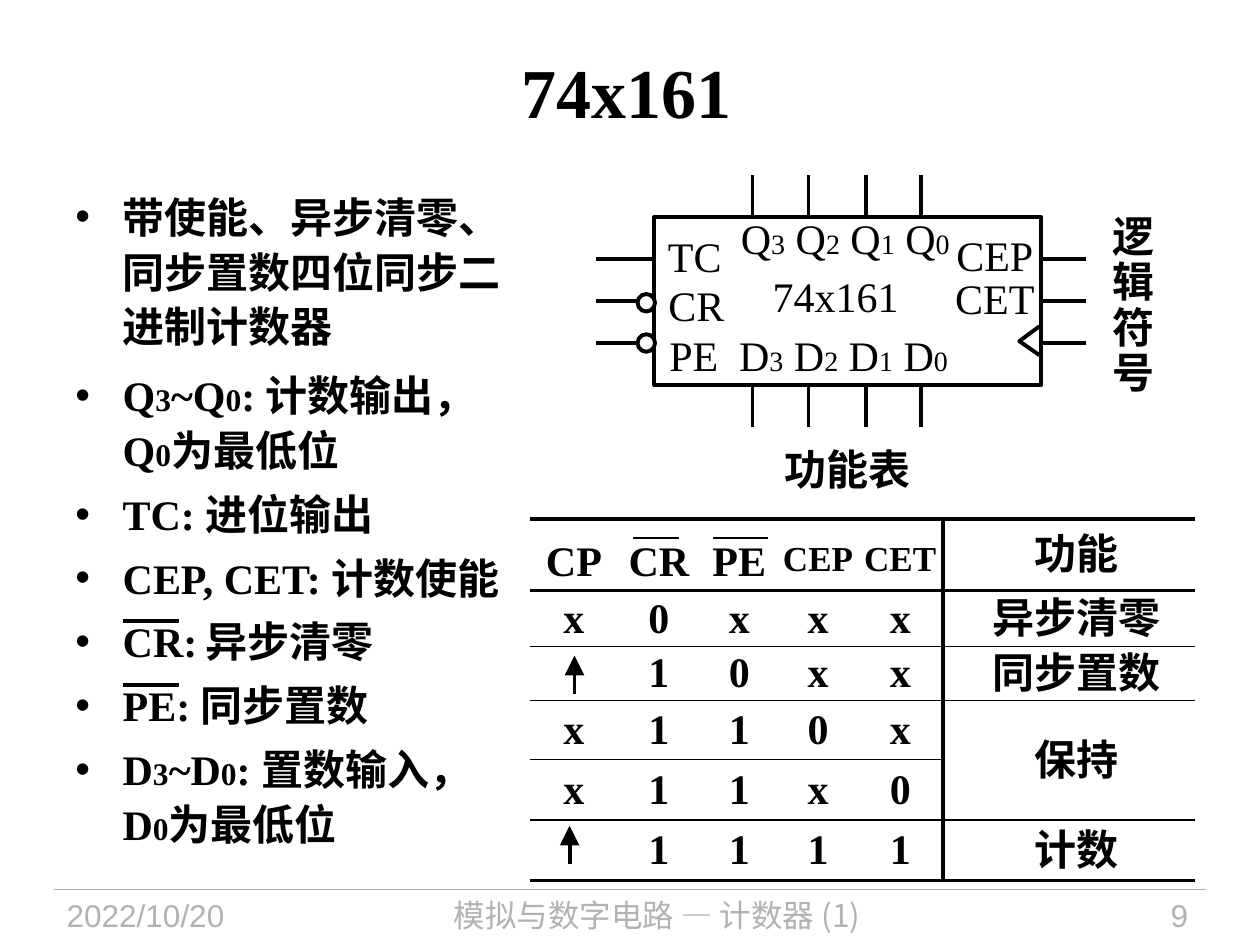
from dataclasses import dataclass

from lxml import etree
from pptx import Presentation
from pptx.dml.color import RGBColor
from pptx.enum.shapes import MSO_CONNECTOR, MSO_SHAPE
from pptx.enum.text import MSO_ANCHOR, PP_ALIGN
from pptx.oxml.ns import qn
from pptx.util import Pt

LEFT, CENTER, RIGHT = PP_ALIGN.LEFT, PP_ALIGN.CENTER, PP_ALIGN.RIGHT
MIDDLE = MSO_ANCHOR.MIDDLE
STRAIGHT = MSO_CONNECTOR.STRAIGHT
NO_TABLE_STYLE = "{2D5ABB26-0587-4C30-8999-92F81FD0307C}"


@dataclass(frozen=True)
class Theme:
    black: RGBColor = RGBColor(0, 0, 0)
    white: RGBColor = RGBColor(255, 255, 255)
    gray: RGBColor = RGBColor(0xB2, 0xB2, 0xB2)
    serif: str = "Times New Roman"
    sans: str = "Arial"
    cjk: str = "Noto Sans CJK SC"
    title: int = 40
    body: int = 24
    header: int = 20
    small: int = 18
    pin: int = 16
    thick: float = 2.25
    medium: float = 1.5
    thin: float = 0.75


T = Theme()

prs = Presentation()
prs.slide_width, prs.slide_height = Pt(720), Pt(540)
slide = prs.slides.add_slide(prs.slide_layouts[6])
shapes = slide.shapes


def write(tf, lines, size=T.body, sub=T.small, bold=True, font=T.serif,
          color=T.black, align=CENTER, spacing=None):
    """Fill a text frame; every second part between bars takes the sub size."""
    for i, text in enumerate(lines):
        p = tf.add_paragraph() if i else tf.paragraphs[0]
        p.alignment = align
        if spacing:
            p.line_spacing = Pt(spacing)
        for j, part in enumerate(text.split("|")):
            r = p.add_run()
            r.text = part
            r.font.size = Pt(sub if j % 2 else size)
            r.font.name, r.font.bold = font, bold
            r.font.color.rgb = color
            etree.SubElement(r.font._element, qn("a:ea"), typeface=T.cjk)


def line(x1, y1, x2, y2, width=T.thick, color=T.black, arrow=False):
    c = shapes.add_connector(STRAIGHT, Pt(x1), Pt(y1), Pt(x2), Pt(y2))
    c.line.width, c.line.color.rgb = Pt(width), color
    if arrow:
        etree.SubElement(c.line._get_or_add_ln(), qn("a:tailEnd"),
                         type="triangle", w="lg", len="lg")
    etree.SubElement(c._element.spPr, qn("a:effectLst"))
    return c


# Footer
line(31, 508.3, 689, 508.3, T.thin, T.gray)
for x, w, text, font, align in [
    (31, 135, "2022/10/20", T.sans, LEFT),
    (173, 405, "模拟与数字电路 — 计数器 (1)", T.cjk, CENTER),
    (590, 96, "9", T.sans, RIGHT),
]:
    tf = shapes.add_textbox(Pt(x), Pt(508.3), Pt(w), Pt(31.7)).text_frame
    tf.word_wrap = True
    write(tf, [text], T.small, bold=False, font=font, color=T.gray, align=align)

# Title
tf = shapes.add_textbox(Pt(36), Pt(6.5), Pt(644.4), Pt(90)).text_frame
tf.word_wrap, tf.vertical_anchor = True, MIDDLE
write(tf, ["74x161"], T.title)

# Bullet list
tf = shapes.add_textbox(Pt(36), Pt(103), Pt(264.5), Pt(399.6)).text_frame
tf.word_wrap = True
write(tf, [
    "带使能、异步清零、同步置数四位同步二进制计数器",
    "Q|3|~Q|0|: 计数输出，Q|0|为最低位",
    "TC: 进位输出",
    "CEP, CET: 计数使能",
    "CR:| |异步清零",
    "PE: 同步置数",
    "D|3|~D|0|: 置数输入，D|0|为最低位",
], align=LEFT, spacing=31.4)
for i, p in enumerate(tf.paragraphs):
    p.space_after = Pt(5 if i else 8)
    pPr = p._p.get_or_add_pPr()
    pPr.set("marL", str(Pt(27)))
    pPr.set("indent", str(-Pt(27)))
    etree.SubElement(pPr, qn("a:buFont"), typeface=T.sans)
    etree.SubElement(pPr, qn("a:buChar"), char="•")
for y in (355, 391.7):
    line(70.5, y, 102.3, y)

# Captions
tf = shapes.add_textbox(Pt(623.5), Pt(119.5), Pt(48.2), Pt(111)).text_frame
tf.word_wrap = True
write(tf, "逻辑符号", font=T.sans, spacing=26)
tf = shapes.add_textbox(Pt(430.5), Pt(250), Pt(108), Pt(36)).text_frame
tf.word_wrap, tf.vertical_anchor = True, MIDDLE
write(tf, ["功能表"], font=T.sans)

# Logic symbol
chip = shapes.add_shape(MSO_SHAPE.RECTANGLE, Pt(374), Pt(124), Pt(221), Pt(96))
chip.shadow.inherit = False
chip.fill.background()
chip.line.color.rgb, chip.line.width = T.black, Pt(T.thick)
for x in (430, 462, 495, 526.5):
    line(x, 124, x, 100)
    line(x, 244, x, 220)
for y in (148, 172, 196):
    line(340.5, y, 374, y)
    pin = line(596, y, 620.5, y)
    if y == 172:
        pin.begin_connect(chip, 3)
for y in (173, 196):
    sp = shapes.add_shape(MSO_SHAPE.OVAL, Pt(364.3), Pt(y - 5), Pt(10), Pt(10))
    sp.shadow.inherit = False
    sp.fill.solid()
    sp.fill.fore_color.rgb = T.white
    sp.line.color.rgb, sp.line.width = T.black, Pt(T.thick)
builder = shapes.build_freeform(Pt(594), Pt(186.5))
builder.add_line_segments([(Pt(582.5), Pt(195)), (Pt(594), Pt(203))], close=False)
clock = builder.convert_to_shape()
clock.shadow.inherit = False
clock.fill.background()
clock.line.color.rgb, clock.line.width = T.black, Pt(T.thick)
for cx, cy, w, text in [
    (397, 146, 45, "TC"), (398, 174, 47, "CR"), (396.5, 202.5, 43, "PE"),
    (568.5, 145.5, 58, "CEP"), (568.5, 170, 60, "CET"), (477.5, 169, 86, "74x161"),
    (483, 136, 134, "Q|3| Q|2| Q|1| Q|0"), (482, 202.5, 134, "D|3| D|2| D|1| D|0"),
]:
    tf = shapes.add_textbox(Pt(cx - w / 2), Pt(cy - 18), Pt(w), Pt(36)).text_frame
    tf.word_wrap, tf.vertical_anchor = False, MIDDLE
    tf.margin_left = tf.margin_right = 0
    write(tf, [text], sub=T.pin, bold=False)

# Function table; blank first cells hold a rising-edge arrow
rows = [
    ["CP", "CR", "PE", "CEP", "CET", "功能"],
    ["x", "0", "x", "x", "x", "异步清零"],
    ["", "1", "0", "x", "x", "同步置数"],
    ["x", "1", "1", "0", "x", "保持"],
    ["x", "1", "1", "x", "0", ""],
    ["", "1", "1", "1", "1", "计数"],
]
col_widths = [50, 47, 45, 45, 49, 144]
row_heights = [41, 31.7, 31, 33.8, 34.5, 34.5]
rules = [T.thick, T.thick, T.thin, T.thin, T.thin, T.thin, T.thick]
table = shapes.add_table(6, 6, Pt(303), Pt(296.6), Pt(sum(col_widths)),
                         Pt(sum(row_heights))).table
table.first_row = table.horz_banding = False
table._tbl.tblPr.find(qn("a:tableStyleId")).text = NO_TABLE_STYLE
for col, w in zip(table.columns, col_widths):
    col.width = Pt(w)
for row, h in zip(table.rows, row_heights):
    row.height = Pt(h)
table.cell(3, 5).merge(table.cell(4, 5))
for r, values in enumerate(rows):
    for c, value in enumerate(values):
        cell = table.cell(r, c)
        cell.fill.background()
        cell.vertical_anchor = MIDDLE
        cell.margin_left = Pt(8 if c == 5 else 0)
        cell.margin_right = cell.margin_bottom = 0
        cell.margin_top = Pt(8 if r == 0 and c < 3 else 4 if c == 5 else 0)
        if value:
            write(cell.text_frame, [value],
                  T.header if value in ("CEP", "CET") else T.body, spacing=27)
        borders = {
            "a:lnL": T.thick if c == 5 else 0,
            "a:lnR": T.thick if c == 4 else 0,
            "a:lnT": 0 if (r, c) == (4, 5) else rules[r],
            "a:lnB": 0 if (r, c) == (3, 5) else rules[r + 1],
        }
        drawn = [(tag, width) for tag, width in borders.items() if width]
        for i, (tag, width) in enumerate(drawn):
            ln = etree.Element(qn(tag), w=str(Pt(width)))
            fill = etree.SubElement(ln, qn("a:solidFill"))
            etree.SubElement(fill, qn("a:srgbClr"), val=str(T.black))
            cell._tc.get_or_add_tcPr().insert(i, ln)
for x1, x2 in ((362, 388), (407.5, 439)):
    line(x1, 307.5, x2, 307.5, T.medium)
for x, y in ((328.3, 396.7), (325.5, 493.9)):
    line(x, y, x, y - 22, arrow=True)

prs.save("out.pptx")
